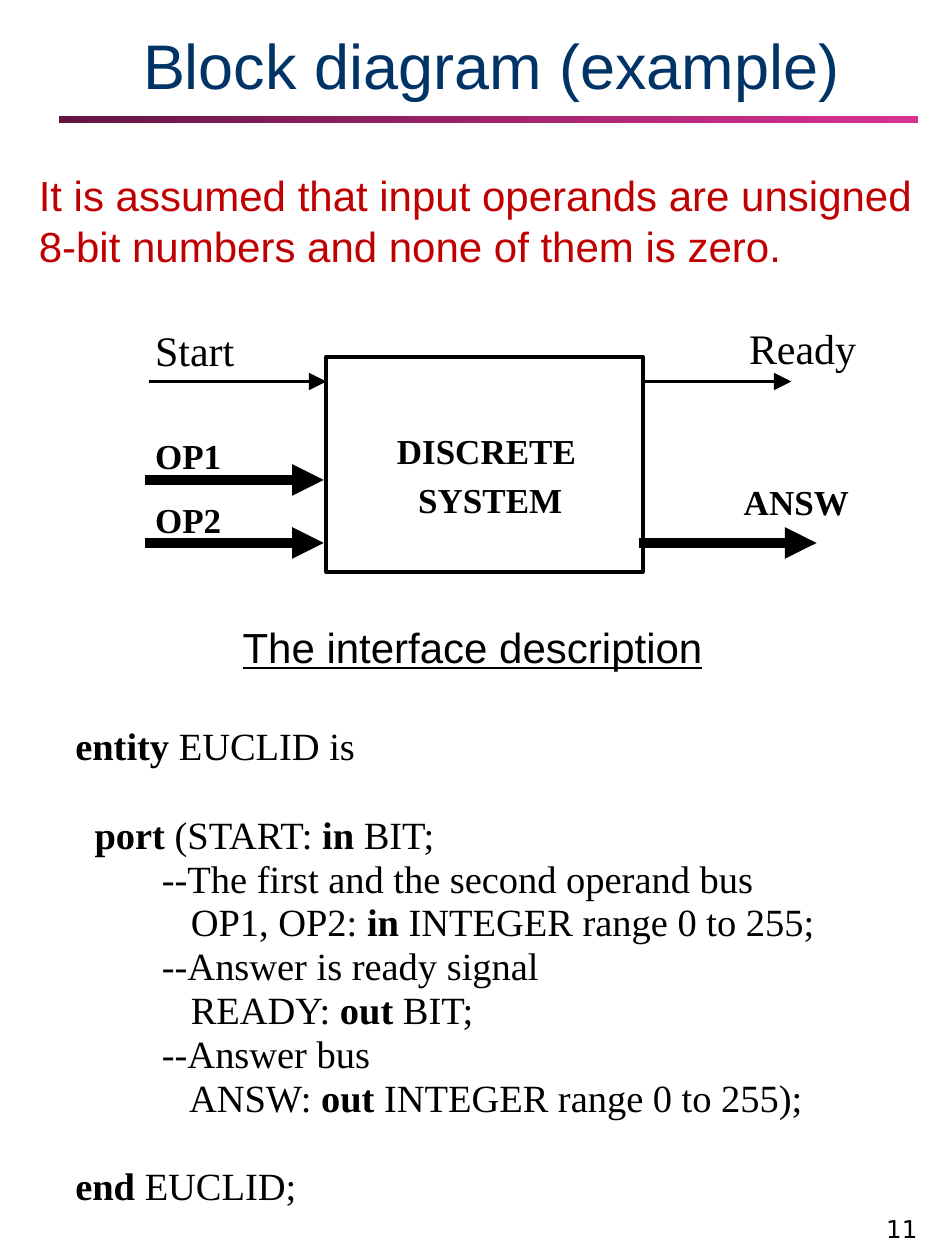
from lxml.etree import SubElement
from pptx import Presentation
from pptx.dml.color import RGBColor
from pptx.enum.shapes import MSO_CONNECTOR as Connector, MSO_SHAPE as Shape
from pptx.enum.text import MSO_ANCHOR as Anchor, PP_ALIGN as Align
from pptx.oxml.ns import qn
from pptx.util import Pt

COLORS = {"title": "003366", "note": "C00000", "ink": "000000",
          "paper": "FFFFFF", "rule_left": "641643", "rule_right": "D93192"}
SANS, SERIF = "Arial", "Times New Roman"


def write(para, text, size=22, font=SERIF, color="ink", align=Align.LEFT,
          bold=False, underline=False, indent=0, before=0, spacing=1.0):
    """Fill a paragraph; parts between asterisks switch the weight."""
    para.alignment = align
    para.space_before = Pt(before)
    para.line_spacing = spacing
    if indent:
        para._p.get_or_add_pPr().set("marL", str(Pt(indent)))
    for index, part in enumerate(text.split("*")):
        if part:
            span = para.add_run()
            span.text = part
            span.font.size = Pt(size)
            span.font.name = font
            span.font.bold = bold != (index % 2 == 1)
            span.font.underline = underline
            span.font.color.rgb = RGBColor.from_string(COLORS[color])


def add_box(left, top, width, height, wrap=True, inset=True):
    """Add an empty text box and return its text frame."""
    frame = page.shapes.add_textbox(Pt(left), Pt(top), Pt(width), Pt(height)).text_frame
    frame.word_wrap = wrap
    if not inset:
        frame.margin_left = frame.margin_right = Pt(0)
        frame.margin_top = frame.margin_bottom = Pt(0)
    return frame


deck = Presentation()
deck.slide_width, deck.slide_height = Pt(540), Pt(720)
page = deck.slides.add_slide(deck.slide_layouts[5])

# Heading
rule = page.shapes.add_shape(Shape.RECTANGLE, Pt(33.8), Pt(66.2), Pt(491), Pt(4.2))
rule.shadow.inherit = False
rule.line.fill.background()
rule.fill.gradient()
rule.fill.gradient_angle = 0
for stop, name in zip(rule.fill.gradient_stops, ("rule_left", "rule_right")):
    stop.color.rgb = RGBColor.from_string(COLORS[name])

title = page.shapes.title
title.left, title.top, title.width, title.height = Pt(39.6), Pt(11.5), Pt(482.4), Pt(50.4)
title.text_frame.vertical_anchor = Anchor.BOTTOM
write(title.text_frame.paragraphs[0], "Block diagram (example)", size=36,
      font=SANS, color="title", align=Align.CENTER)

note = add_box(15.1, 93.6, 516.2, 93.6)
write(note.paragraphs[0], "It is assumed that input operands are unsigned "
      "8-bit numbers and none of them is zero.", size=24, font=SANS, color="note")

# Block diagram
system = page.shapes.add_shape(Shape.RECTANGLE, Pt(186.5), Pt(203.8), Pt(180.7), Pt(123.1))
system.shadow.inherit = False
system.fill.solid()
system.fill.fore_color.rgb = RGBColor.from_string(COLORS["paper"])
system.line.color.rgb = RGBColor.from_string(COLORS["ink"])
system.line.width = Pt(2.25)

labels = [
    ("Start", 88.6, 185.4, 52, 24, False),
    ("Ready", 428, 184.3, 70, 24, False),
    ("OP1", 88.6, 248.4, 46, 20, True),
    ("OP2", 88.6, 285.1, 46, 20, True),
    ("ANSW", 425, 274.3, 70, 20, True),
    ("DISCRETE", 226.8, 245.5, 116, 20, True),
    ("SYSTEM", 239, 273.6, 96, 20, True),
]
for text, left, top, width, size, bold in labels:
    label = add_box(left, top, width, size * 1.2, wrap=False, inset=False)
    write(label.paragraphs[0], text, size=size, bold=bold)

arrows = [
    (85, 186.5, 218, 1.5, "lg"),
    (366.5, 452.2, 218, 1.5, "lg"),
    (82.8, 185, 274.3, 6, "med"),
    (82.8, 185, 310.3, 6, "med"),
    (365, 466.6, 310.3, 6, "med"),
]
for start, end, y, weight, head in arrows:
    arrow = page.shapes.add_connector(Connector.STRAIGHT, Pt(start), Pt(y), Pt(end), Pt(y))
    arrow.line.color.rgb = RGBColor.from_string(COLORS["ink"])
    arrow.line.width = Pt(weight)
    SubElement(arrow.line._get_or_add_ln(), qn("a:tailEnd"), type="triangle", w=head, len=head)
    SubElement(arrow._element.spPr, qn("a:effectLst"))

# Interface description
listing = add_box(36, 351.4, 468, 343.4)
write(listing.paragraphs[0], "The interface description", size=24, font=SANS,
      align=Align.CENTER, underline=True)
code_lines = [
    ("*entity* EUCLID is", 0, 28.7, 1.0),
    ("*port* (START: *in* BIT;", 11, 26.4, 0.95),
    ("--The first and the second operand bus", 49.5, 0, 0.95),
    ("OP1, OP2: *in* INTEGER range 0 to 255;", 66, 0, 0.95),
    ("--Answer is ready signal", 49.5, 0, 0.95),
    ("READY: *out* BIT;", 66, 0, 0.95),
    ("--Answer bus", 49.5, 0, 0.95),
    ("ANSW: *out* INTEGER range 0 to 255);", 65, 0, 0.95),
    ("*end* EUCLID;", 0, 25.3, 0.95),
]
for text, indent, before, spacing in code_lines:
    write(listing.add_paragraph(), text, indent=indent, before=before, spacing=spacing)

number = add_box(465.1, 683.3, 66.2, 31)
number.vertical_anchor = Anchor.BOTTOM
write(number.paragraphs[0], "11", size=14, font="DejaVu Sans", align=Align.RIGHT)

deck.save("out.pptx")
